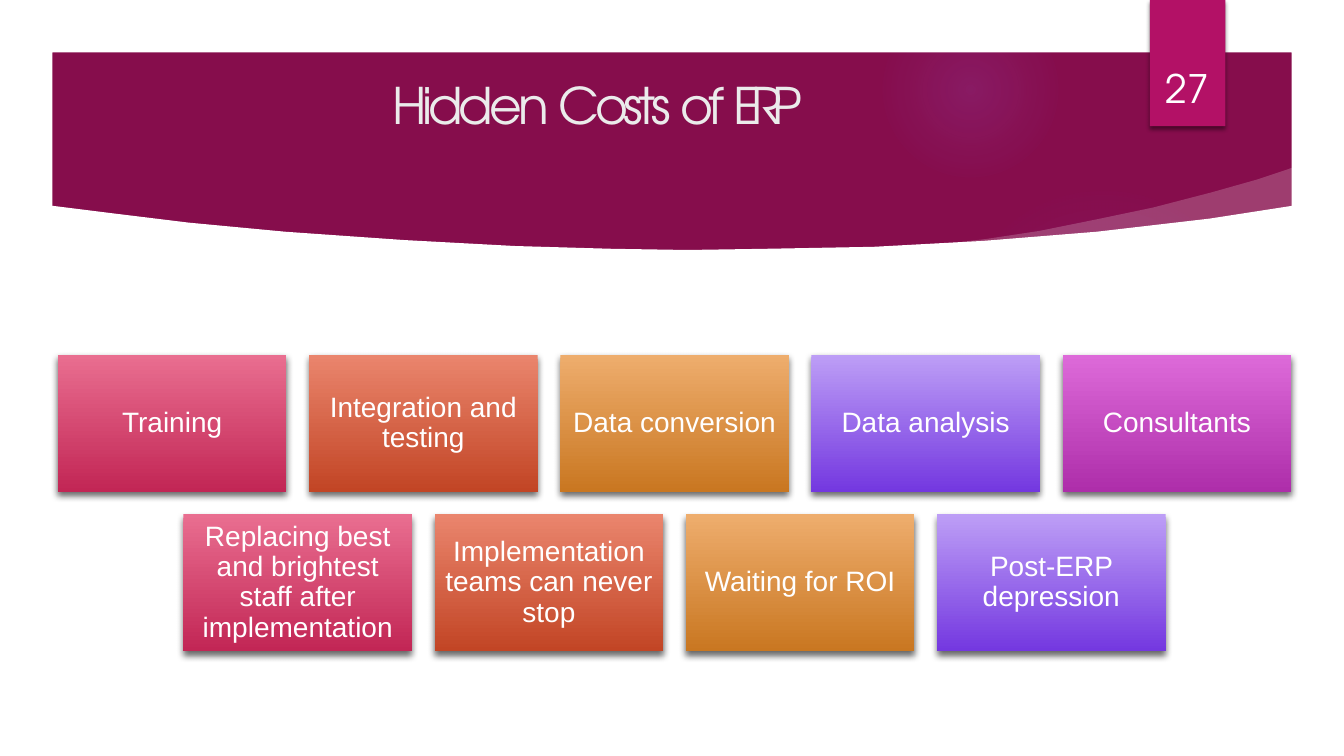
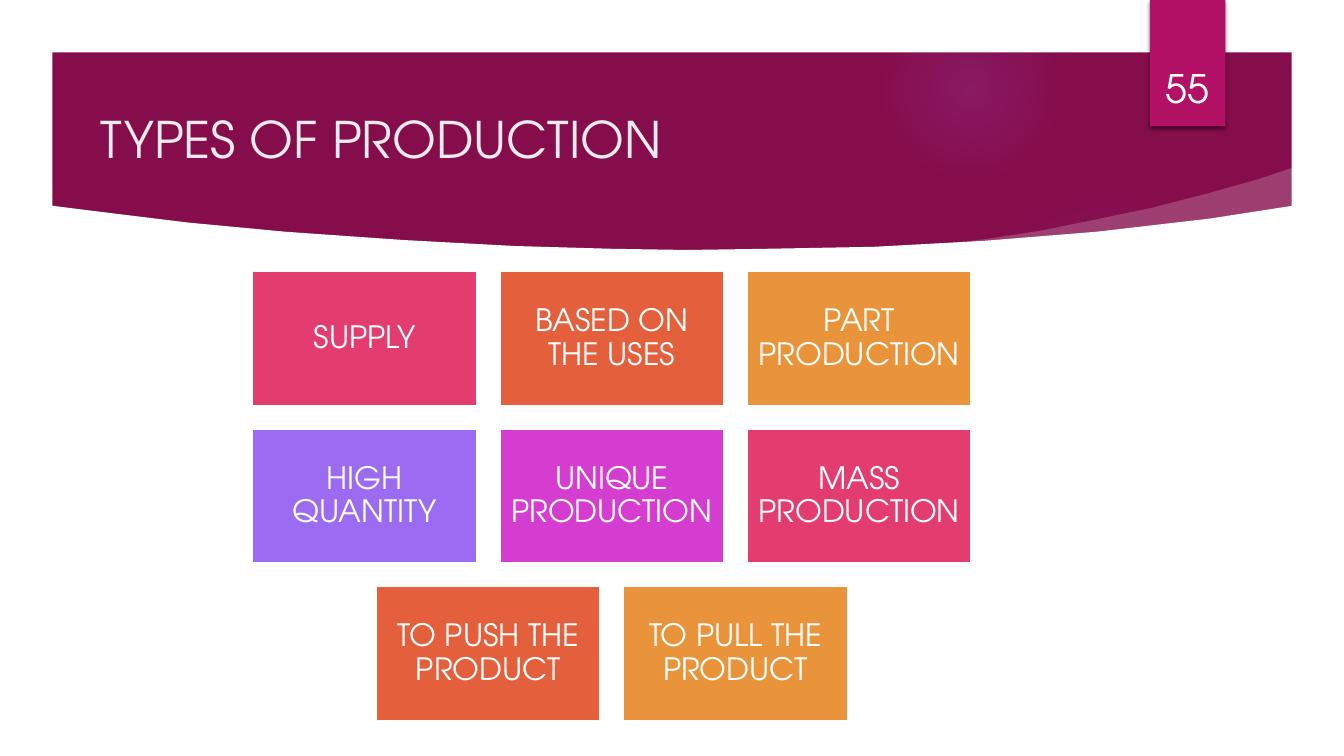
from itertools import cycle

from lxml import etree
from pptx import Presentation
from pptx.dml.color import RGBColor
from pptx.enum.shapes import MSO_SHAPE, PP_PLACEHOLDER
from pptx.enum.text import MSO_ANCHOR, MSO_AUTO_SIZE, PP_ALIGN
from pptx.oxml.ns import qn
from pptx.util import Cm, Pt

RECTANGLE, OVAL, FRAME = MSO_SHAPE.RECTANGLE, MSO_SHAPE.OVAL, MSO_SHAPE.FRAME
LEFT, CENTER = PP_ALIGN.LEFT, PP_ALIGN.CENTER
MIDDLE, BOTTOM = MSO_ANCHOR.MIDDLE, MSO_ANCHOR.BOTTOM
TITLE, NO_AUTOFIT = PP_PLACEHOLDER.TITLE, MSO_AUTO_SIZE.NONE

HEADING_FONT, TILE_FONT = "TeX Gyre Adventor", "Arial"
WHITE = RGBColor(0xFF, 0xFF, 0xFF)
BLACK = RGBColor(0x00, 0x00, 0x00)
TITLE_GREY = RGBColor(0xEB, 0xEB, 0xEB)
PLUM = RGBColor(0x86, 0x0D, 0x4C)
TAB_PINK = RGBColor(0xB3, 0x11, 0x66)
PINK = RGBColor(0xE3, 0x3D, 0x6F)
ORANGE = RGBColor(0xE4, 0x5F, 0x3C)
AMBER = RGBColor(0xE9, 0x94, 0x3A)
VIOLET = RGBColor(0x9B, 0x6B, 0xF2)
MAGENTA = RGBColor(0xD5, 0x3D, 0xD0)

FLAT_FILLS = [PINK, ORANGE, AMBER, VIOLET, MAGENTA]
GRADIENT_FILLS = [
    (RGBColor(0xE9, 0x6E, 0x90), RGBColor(0xC2, 0x26, 0x55)),
    (RGBColor(0xEA, 0x85, 0x6D), RGBColor(0xC2, 0x45, 0x25)),
    (RGBColor(0xEE, 0xAD, 0x6D), RGBColor(0xC9, 0x77, 0x21)),
    (RGBColor(0xBD, 0x9E, 0xF6), RGBColor(0x74, 0x38, 0xE0)),
    (RGBColor(0xDD, 0x6A, 0xD9), RGBColor(0xAE, 0x2E, 0xAA)),
]

SLIDE_WIDTH, SLIDE_HEIGHT = 33.87, 19.05
MARGIN = 1.32
TILE_GAP = 0.57

# Outlines in centimetres: the white page below the band, and the pale swoosh.
PAGE_OUTLINE = [
    (1.27, 5.18), (2.87, 5.38), (4.75, 5.61), (7.19, 5.84), (10.19, 6.05),
    (12.98, 6.2), (15.42, 6.27), (17.32, 6.3), (19.3, 6.27), (22.02, 6.22),
    (24.79, 6.07), (27.64, 5.84), (30.48, 5.51), (32.61, 5.18),
    (32.61, 17.78), (1.27, 17.78),
]
SWOOSH_OUTLINE = [
    (23.62, 6.17), (24.87, 6.02), (26.19, 5.82), (27.58, 5.54), (29.06, 5.23),
    (30.53, 4.85), (31.7, 4.52), (32.59, 4.22), (32.74, 5.44), (23.72, 6.35),
]


def add_child(parent, tag, **attributes):
    values = {key: str(value) for key, value in attributes.items()}
    return etree.SubElement(parent, qn(tag), values)


def add_color(parent, color, opacity):
    node = add_child(parent, "a:srgbClr", val=color)
    add_child(node, "a:alpha", val=opacity * 1000)


class Deck:
    """Holds the presentation, its shared layout and the current slide."""

    def __init__(self):
        self.presentation = Presentation()
        self.presentation.slide_width = Cm(SLIDE_WIDTH)
        self.presentation.slide_height = Cm(SLIDE_HEIGHT)
        self.layout = self.presentation.slide_layouts.get_by_name("Title Only")
        self.slide = None

    def start_slide(self, number):
        self.slide = self.presentation.slides.add_slide(self.layout)
        if len(self.presentation.slides) == 1:
            self.decorate_layout()
        self.page_number(number)

    def decorate_layout(self):
        """Draw the band on the first slide, then move it to the layout."""
        layout_tree = self.layout.shapes.element
        for placeholder in list(self.layout.placeholders):
            if placeholder.placeholder_format.type != TITLE:
                layout_tree.remove(placeholder.element)
        background = self.layout.background.fill
        background.solid()
        background.fore_color.rgb = PLUM

        frame = [0, 0, SLIDE_WIDTH, SLIDE_HEIGHT]
        decorations = [
            self.glow(23.9, 4.65, 7.82, [(0, 7), (36, 6), (69, 0)]),
            self.glow(22.23, 0.03, 4.45, [(0, 14), (36, 7), (73, 0)]),
            self.outline(SWOOSH_OUTLINE, opacity=20),
            self.outline(PAGE_OUTLINE),
            self.shape(FRAME, *frame, WHITE),
            self.shape(RECTANGLE, 28.98, 0, 1.9, 3.18, TAB_PINK),
        ]
        border, tab = decorations[-2:]
        border.adjustments[0] = MARGIN / SLIDE_HEIGHT
        self.drop_shadow(tab, blur=3, distance=2, opacity=45)
        for decoration in decorations:
            layout_tree.append(decoration.element)

    def shape(self, preset, left, top, width, height, fill):
        """Add a shape; a pair of colours as fill gives a vertical gradient."""
        shape = self.slide.shapes.add_shape(
            preset, Cm(left), Cm(top), Cm(width), Cm(height))
        shape.shadow.inherit = False
        shape.line.fill.background()
        if isinstance(fill, RGBColor):
            shape.fill.solid()
            shape.fill.fore_color.rgb = fill
        else:
            shape.fill.gradient()
            shape.fill.gradient_angle = 270
            for stop, color in zip(shape.fill.gradient_stops, fill):
                stop.color.rgb = color
        return shape

    def glow(self, left, top, diameter, stops):
        """Add a radial glow; stops are (position, opacity) in percent."""
        glow = self.shape(OVAL, left, top, diameter, diameter, VIOLET)
        solid = glow.element.spPr.find(qn("a:solidFill"))
        gradient = etree.Element(qn("a:gradFill"), rotWithShape="1")
        stop_list = add_child(gradient, "a:gsLst")
        for position, opacity in stops:
            stop = add_child(stop_list, "a:gs", pos=position * 1000)
            add_color(stop, VIOLET, opacity)
        radial = add_child(gradient, "a:path", path="circle")
        add_child(radial, "a:fillToRect", l=50000, t=50000, r=50000, b=50000)
        glow.element.spPr.replace(solid, gradient)
        return glow

    def outline(self, points, opacity=100):
        start, *rest = [(Cm(x), Cm(y)) for x, y in points]
        builder = self.slide.shapes.build_freeform(*start)
        builder.add_line_segments(rest, close=True)
        outline = builder.convert_to_shape()
        outline.shadow.inherit = False
        outline.line.fill.background()
        outline.fill.solid()
        outline.fill.fore_color.rgb = WHITE
        if opacity < 100:
            color = outline.element.spPr.find(qn("a:solidFill"))[0]
            add_child(color, "a:alpha", val=opacity * 1000)
        return outline

    def drop_shadow(self, shape, blur, distance, opacity):
        effects = shape.element.spPr.find(qn("a:effectLst"))
        shadow = add_child(effects, "a:outerShdw", blurRad=Pt(blur),
                           dist=Pt(distance), dir=90 * 60000, rotWithShape=0)
        add_color(shadow, BLACK, opacity)

    def add_text(self, shape, runs, font, size, color, align, anchor):
        """Fill a shape with runs, given as (text, letter spacing in points)."""
        frame = shape.text_frame
        frame.word_wrap = True
        frame.auto_size = NO_AUTOFIT
        frame.vertical_anchor = anchor
        paragraph = frame.paragraphs[0]
        paragraph.alignment = align
        for text, spacing in runs:
            run = paragraph.add_run()
            run.text = text
            run.font.name = font
            run.font.size = Pt(size)
            run.font.color.rgb = color
            if spacing:
                properties = list(shape.element.iter(qn("a:rPr")))[-1]
                properties.set("spc", str(round(spacing * 100)))
        return frame

    def page_number(self, number):
        box = self.slide.shapes.add_textbox(
            Cm(28.75), Cm(0.81), Cm(2.34), Cm(2.13))
        self.add_text(box, [(str(number), 0)], HEADING_FONT, 28, WHITE,
                      CENTER, BOTTOM)

    def title(self, runs, left, top, width, height, inset=0.25):
        title = self.slide.shapes.title
        title.left, title.top = Cm(left), Cm(top)
        title.width, title.height = Cm(width), Cm(height)
        frame = self.add_text(title, runs, HEADING_FONT, 36, TITLE_GREY,
                              LEFT, MIDDLE)
        frame.margin_left = frame.margin_right = Cm(inset)
        frame.margin_top = frame.margin_bottom = Cm(inset / 2)

    def tile(self, text, left, top, width, height, fill, font, size, inset):
        tile = self.shape(RECTANGLE, left, top, width, height, fill)
        if isinstance(fill, RGBColor):
            tile.line.color.rgb = WHITE
            tile.line.width = Pt(1.5)
        else:
            self.drop_shadow(tile, blur=5, distance=3, opacity=60)
        frame = self.add_text(tile, [(text, 0)], font, size, WHITE,
                              CENTER, MIDDLE)
        frame.margin_left = frame.margin_right = Cm(inset)
        frame.margin_top = frame.margin_bottom = Cm(inset)
        frame.paragraphs[0].line_spacing = 0.9

    def tile_rows(self, rows, center, top, width, height, fills, **text_style):
        """Lay out rows of tiles, each row centred on the same axis."""
        next_fill = cycle(fills)
        for row_index, row in enumerate(rows):
            row_width = len(row) * (width + TILE_GAP) - TILE_GAP
            row_top = top + row_index * (height + TILE_GAP)
            for column, text in enumerate(row):
                left = center - row_width / 2 + column * (width + TILE_GAP)
                self.tile(text, left, row_top, width, height,
                          next(next_fill), **text_style)


def hidden_costs(deck):
    deck.start_slide(27)
    deck.title([("Hidden ", -2.9), ("Costs ", -3.3), ("of ", -3.5),
                ("ERP", -6.5)], 9.88, 1.83, 12.1, 1.6, inset=0)
    deck.tile_rows(
        [["Training", "Integration and testing", "Data conversion",
          "Data analysis", "Consultants"],
         ["Replacing best and brightest staff after implementation",
          "Implementation teams can never stop", "Waiting for ROI",
          "Post-ERP depression"]],
        center=17, top=8.94, width=5.76, height=3.45, fills=GRADIENT_FILLS,
        font=TILE_FONT, size=20, inset=0.2)


def production_types(deck):
    deck.start_slide(55)
    deck.title([("TYPES OF PRODUCTION", 0)], 2.29, 2.01, 25.25, 2.97)
    deck.tile_rows(
        [["SUPPLY", "BASED ON THE USES", "PART PRODUCTION"],
         ["HIGH QUANTITY", "UNIQUE PRODUCTION", "MASS PRODUCTION"],
         ["TO PUSH THE PRODUCT", "TO PULL THE PRODUCT"]],
        center=15.42, top=6.83, width=5.66, height=3.4, fills=FLAT_FILLS,
        font=HEADING_FONT, size=22, inset=0.23)


def main():
    deck = Deck()
    hidden_costs(deck)
    production_types(deck)
    deck.presentation.save("out.pptx")


if __name__ == "__main__":
    main()
